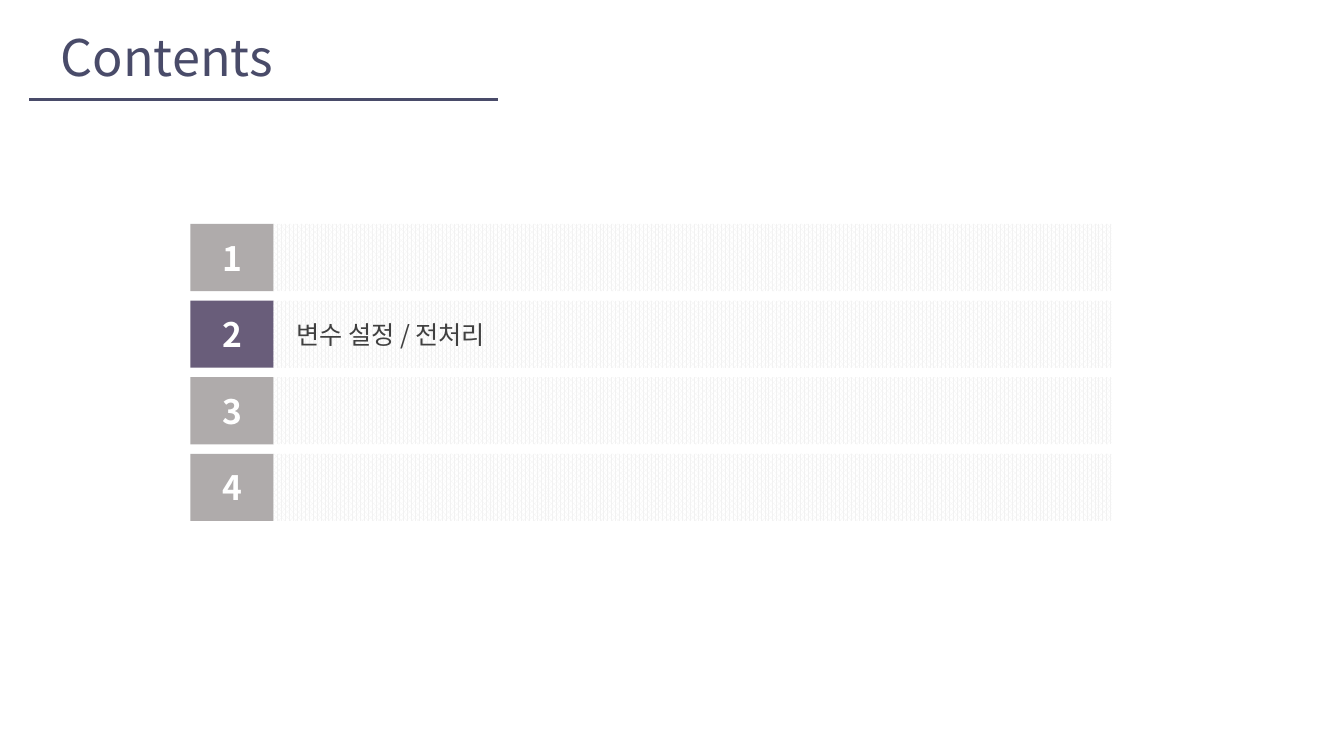
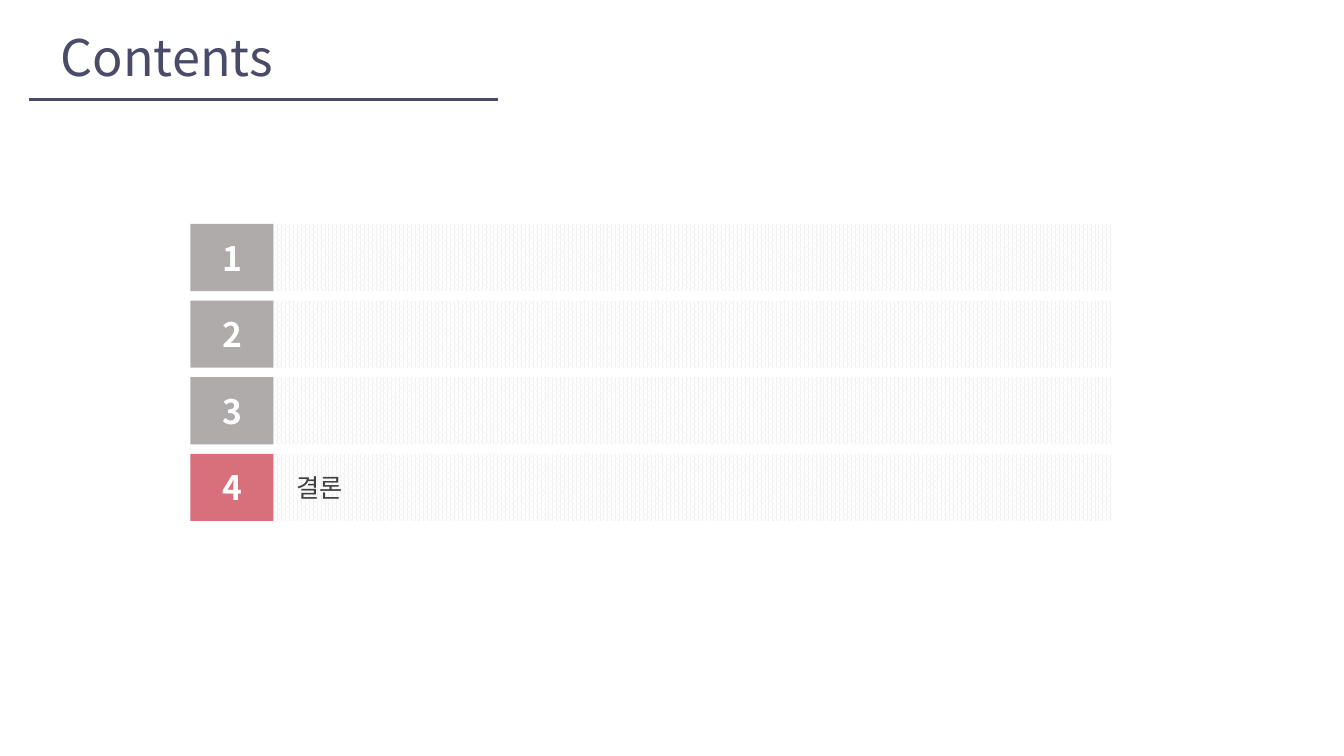
import pptx
import pptx.util
import pptx.dml.color
import pptx.enum.dml
import pptx.enum.shapes
import pptx.enum.text
import pptx.oxml.ns
import lxml.etree

Pt = pptx.util.Pt
qn = pptx.oxml.ns.qn
ALIGN = pptx.enum.text.PP_ALIGN
ANCHOR = pptx.enum.text.MSO_ANCHOR
RECT = pptx.enum.shapes.MSO_SHAPE.RECTANGLE

FONT = "Noto Sans CJK KR"
NAVY, GRAY, DARK, WHITE, PALE = "494B69", "AFABAB", "404040", "FFFFFF", "F2F2F2"

# Active row number, its label and its colour, one entry a slide
pages = [
    (2, "변수 설정 / 전처리", "695D7A"),
    (4, "결론", "D8707C"),
]
rows = 4
left, top = 136, 160
num_w, bar_w, row_h, pitch = 59.5, 598.5, 48, 54.7


def rgb(color):
    return pptx.dml.color.RGBColor.from_string(color)


def write(shape, text, size, color, bold=False, align=ALIGN.LEFT,
          anchor=ANCHOR.MIDDLE, inset=7.2):
    """Put one formatted paragraph into a shape."""
    frame = shape.text_frame
    frame.word_wrap = True
    frame.vertical_anchor = anchor
    frame.margin_left, frame.margin_right = Pt(inset), Pt(7.2)
    frame.margin_top = frame.margin_bottom = Pt(3.6)
    para = frame.paragraphs[0]
    para.alignment = align
    run = para.add_run()
    run.text = text
    font = run.font
    font.name, font.size, font.bold = FONT, Pt(size), bold
    font.color.rgb = rgb(color)
    east = lxml.etree.SubElement(font._element, qn("a:ea"))
    east.set("typeface", FONT)


deck = pptx.Presentation()
deck.slide_width, deck.slide_height = Pt(960), Pt(540)

for active, label, accent in pages:
    slide = deck.slides.add_slide(deck.slide_layouts[5])
    shapes = slide.shapes

    title = shapes.title
    title.left, title.top, title.width, title.height = Pt(36), Pt(15), Pt(231), Pt(51)
    write(title, "Contents", 36, NAVY, anchor=ANCHOR.TOP)

    rule = shapes.add_connector(
        pptx.enum.shapes.MSO_CONNECTOR.STRAIGHT, Pt(21), Pt(71.3), Pt(355.7), Pt(71.3))
    rule.line.color.rgb = rgb(NAVY)
    rule.line.width = Pt(2)
    lxml.etree.SubElement(rule._element.spPr, qn("a:effectLst"))

    for row in range(rows):
        y = top + row * pitch
        number = row + 1
        box = shapes.add_shape(RECT, Pt(left), Pt(y), Pt(num_w), Pt(row_h))
        box.fill.solid()
        box.fill.fore_color.rgb = rgb(accent if number == active else GRAY)
        write(box, str(number), 24, WHITE, bold=True, align=ALIGN.CENTER)

        bar = shapes.add_shape(RECT, Pt(left + num_w), Pt(y), Pt(bar_w), Pt(row_h))
        bar.fill.patterned()
        bar.fill.pattern = pptx.enum.dml.MSO_PATTERN.PERCENT_75
        bar.fill.fore_color.rgb = rgb(PALE)
        bar.fill.back_color.rgb = rgb(WHITE)
        if number == active:
            write(bar, label, 18, DARK, inset=16)

        for shape in (box, bar):
            shape.line.fill.background()
            shape.shadow.inherit = False

deck.save("out.pptx")
